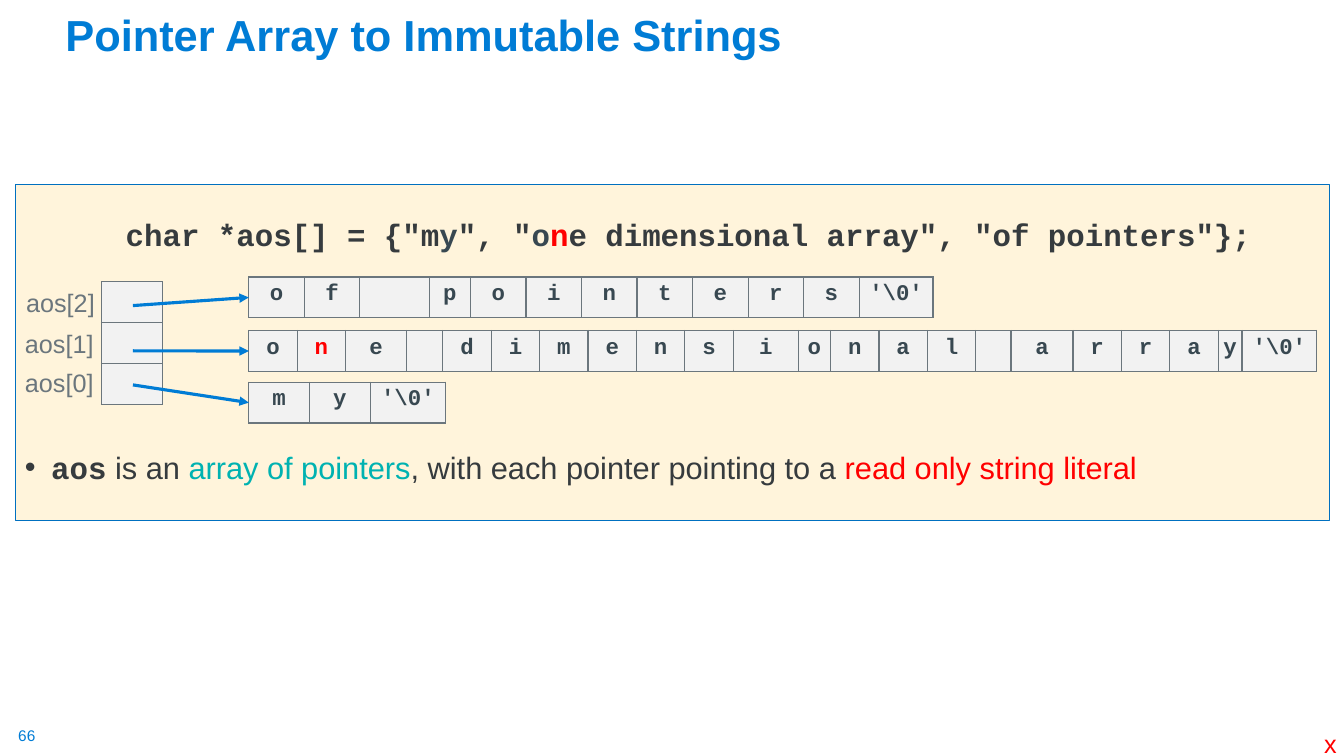
from dataclasses import dataclass, field

import pptx
import pptx.dml.color
import pptx.enum.shapes
import pptx.enum.text
import pptx.oxml
import pptx.oxml.ns
import pptx.util

Cm = pptx.util.Cm
Pt = pptx.util.Pt

SANS, MONO = "Arial", "Courier New"
BLUE, RED, TEAL = "007CD5", "FF0000", "00B2B1"
INK, SLATE, GREY = "363B3E", "384851", "6B767D"
PANEL_FILL, PANEL_LINE, CELL_FILL = "FFF4DB", "0070C0", "F2F2F2"
CELL_HEIGHT = 1.03
STRING_LEFT = 6.27
POINTER_LEFT, POINTER_TOP, POINTER_WIDTH = 2.56, 7.1, 1.53
ARROW_LEFT = 3.35
END = "'\\0'"


@dataclass
class Span:
    text: str
    size: float
    color: str
    font: str = SANS
    bold: bool = False


@dataclass
class StringLiteral:
    """One string; odd_widths overrides the usual cell width by position."""
    label: str
    label_left: float
    label_top: float
    arrow_top: float
    top: float
    letters: list[str]
    width: float
    odd_widths: dict[int, float]
    red_letters: set[int] = field(default_factory=set)


LITERALS = [
    StringLiteral("aos[2]", 0.41, 7.11, 7.7, 6.98, [*"of pointers", END], 1.4,
                  {2: 1.75, 3: 1.04, 11: 1.86}),
    StringLiteral("aos[1]", 0.38, 8.15, 8.84, 8.33,
                  [*"one dimensional array", END], 1.22,
                  {2: 1.54, 3: 0.91, 10: 1.64, 11: 0.81, 15: 0.89, 16: 1.56,
                   20: 0.6, 21: 1.88}, {1}),
    StringLiteral("aos[0]", 0.38, 9.12, 9.7, 9.63, [*"my", END], 1.53, {2: 1.9}),
]


def rgb(color: str) -> pptx.dml.color.RGBColor:
    return pptx.dml.color.RGBColor.from_string(color)


def add_spans(para, spans: list[Span]) -> None:
    for span in spans:
        run = para.add_run()
        run.text = span.text
        run.font.size = Pt(span.size)
        run.font.name = span.font
        run.font.bold = span.bold
        run.font.color.rgb = rgb(span.color)


def add_label(page, left: float, top: float, width: float, height: float,
              span: Span):
    box = page.shapes.add_textbox(Cm(left), Cm(top), Cm(width), Cm(height))
    box.text_frame.word_wrap = False
    add_spans(box.text_frame.paragraphs[0], [span])
    return box


def add_title(page) -> None:
    title = add_label(page, 1.4, 0.36, 31.09, 1.3,
                      Span("Pointer Array to Immutable Strings", 31, BLUE, bold=True))
    title.text_frame.word_wrap = True
    title.text_frame.vertical_anchor = pptx.enum.text.MSO_ANCHOR.BOTTOM
    title.text_frame.paragraphs[0].line_spacing = 0.9


def add_panel(page) -> None:
    panel = page.shapes.add_shape(pptx.enum.shapes.MSO_SHAPE.RECTANGLE,
                                  Cm(0.38), Cm(4.65), Cm(33.12), Cm(8.46))
    panel.shadow.inherit = False
    panel.fill.solid()
    panel.fill.fore_color.rgb = rgb(PANEL_FILL)
    panel.line.color.rgb = rgb(PANEL_LINE)
    panel.line.width = Pt(0.75)
    frame = panel.text_frame
    frame.word_wrap = True
    frame.vertical_anchor = pptx.enum.text.MSO_ANCHOR.TOP
    frame.margin_top = Cm(0.79)

    code = frame.paragraphs[0]
    code.alignment = pptx.enum.text.PP_ALIGN.LEFT
    code._p.get_or_add_pPr().set("marL", str(int(Cm(2.54))))
    pieces = [('char *aos[] = {"m', INK), ("y", SLATE), ('", "', INK),
              ("o", SLATE), ("n", RED),
              ('e dimensional array", "of pointers"};', INK)]
    add_spans(code, [Span(text, 22, color, MONO, True) for text, color in pieces])

    note = frame.add_paragraph()
    note.alignment = pptx.enum.text.PP_ALIGN.LEFT
    note.space_before = Pt(140)
    properties = note._p.get_or_add_pPr()
    properties.set("marL", str(int(Cm(0.66))))
    properties.set("indent", str(int(Cm(-0.66))))
    namespace = pptx.oxml.ns.nsdecls("a")
    properties.append(pptx.oxml.parse_xml(
        f'<a:buFont {namespace} typeface="{SANS}"/>'))
    properties.append(pptx.oxml.parse_xml(f'<a:buChar {namespace} char="•"/>'))
    add_spans(note, [
        Span("aos", 22, INK, MONO, True),
        Span(" is an ", 22, INK),
        Span("array of pointers", 22, TEAL),
        Span(", with each pointer pointing to a ", 22, INK),
        Span("read only string literal", 22, RED),
    ])


def style_cell(cell) -> None:
    """Give the cell a thin grey border, a pale fill and narrow side margins."""
    properties = cell._tc.get_or_add_tcPr()
    for side in "LRTB":
        properties.append(pptx.oxml.parse_xml(
            f'<a:ln{side} {pptx.oxml.ns.nsdecls("a")} w="{int(Pt(1))}"><a:solidFill>'
            f'<a:srgbClr val="{GREY}"/></a:solidFill></a:ln{side}>'))
    cell.fill.solid()
    cell.fill.fore_color.rgb = rgb(CELL_FILL)
    cell.margin_left = cell.margin_right = Cm(0.05)


def add_cells(page, left: float, top: float, widths: list[float], rows: int):
    table = page.shapes.add_table(rows, len(widths), Cm(left), Cm(top),
                                  Cm(sum(widths)), Cm(CELL_HEIGHT * rows)).table
    table.first_row = table.horz_banding = False
    for column, width in zip(table.columns, widths):
        column.width = Cm(width)
    for row in table.rows:
        row.height = Cm(CELL_HEIGHT)
    for cell in table.iter_cells():
        style_cell(cell)
    return table


def add_string(page, literal: StringLiteral) -> None:
    widths = [literal.odd_widths.get(position, literal.width)
              for position in range(len(literal.letters))]
    table = add_cells(page, STRING_LEFT, literal.top, widths, 1)
    for position, letter in enumerate(literal.letters):
        if letter == " ":
            continue
        para = table.cell(0, position).text_frame.paragraphs[0]
        para.alignment = pptx.enum.text.PP_ALIGN.CENTER
        color = RED if position in literal.red_letters else SLATE
        add_spans(para, [Span(letter, 16, color, MONO, True)])


def add_pointer(page, literal: StringLiteral) -> None:
    """Draw the arrow from the pointer cell to its string, and the label."""
    arrow = page.shapes.add_connector(
        pptx.enum.shapes.MSO_CONNECTOR.STRAIGHT, Cm(ARROW_LEFT),
        Cm(literal.arrow_top), Cm(STRING_LEFT), Cm(literal.top + CELL_HEIGHT / 2))
    arrow.line.color.rgb = rgb(BLUE)
    arrow.line.width = Pt(2.25)
    namespace = pptx.oxml.ns.nsdecls("a")
    arrow.line._get_or_add_ln().append(pptx.oxml.parse_xml(
        f'<a:tailEnd {namespace} type="triangle"/>'))
    arrow._element.spPr.append(pptx.oxml.parse_xml(f"<a:effectLst {namespace}/>"))
    add_label(page, literal.label_left, literal.label_top, 2.26, 1.02,
              Span(literal.label, 18, GREY))


def main() -> None:
    deck = pptx.Presentation()
    deck.slide_width, deck.slide_height = Cm(33.87), Cm(19.05)
    page = deck.slides.add_slide(deck.slide_layouts[6])
    number = add_label(page, 0.46, 18.31, 0.48, 0.48, Span("66", 11, BLUE)).text_frame
    number.margin_left = number.margin_right = 0
    number.margin_top = number.margin_bottom = 0
    add_panel(page)
    add_title(page)
    add_label(page, 33.12, 18.24, 0.84, 1.02, Span("x", 18, RED))
    for literal in LITERALS:
        add_string(page, literal)
    add_cells(page, POINTER_LEFT, POINTER_TOP, [POINTER_WIDTH], len(LITERALS))
    for literal in LITERALS:
        add_pointer(page, literal)
    deck.save("out.pptx")


if __name__ == "__main__":
    main()
